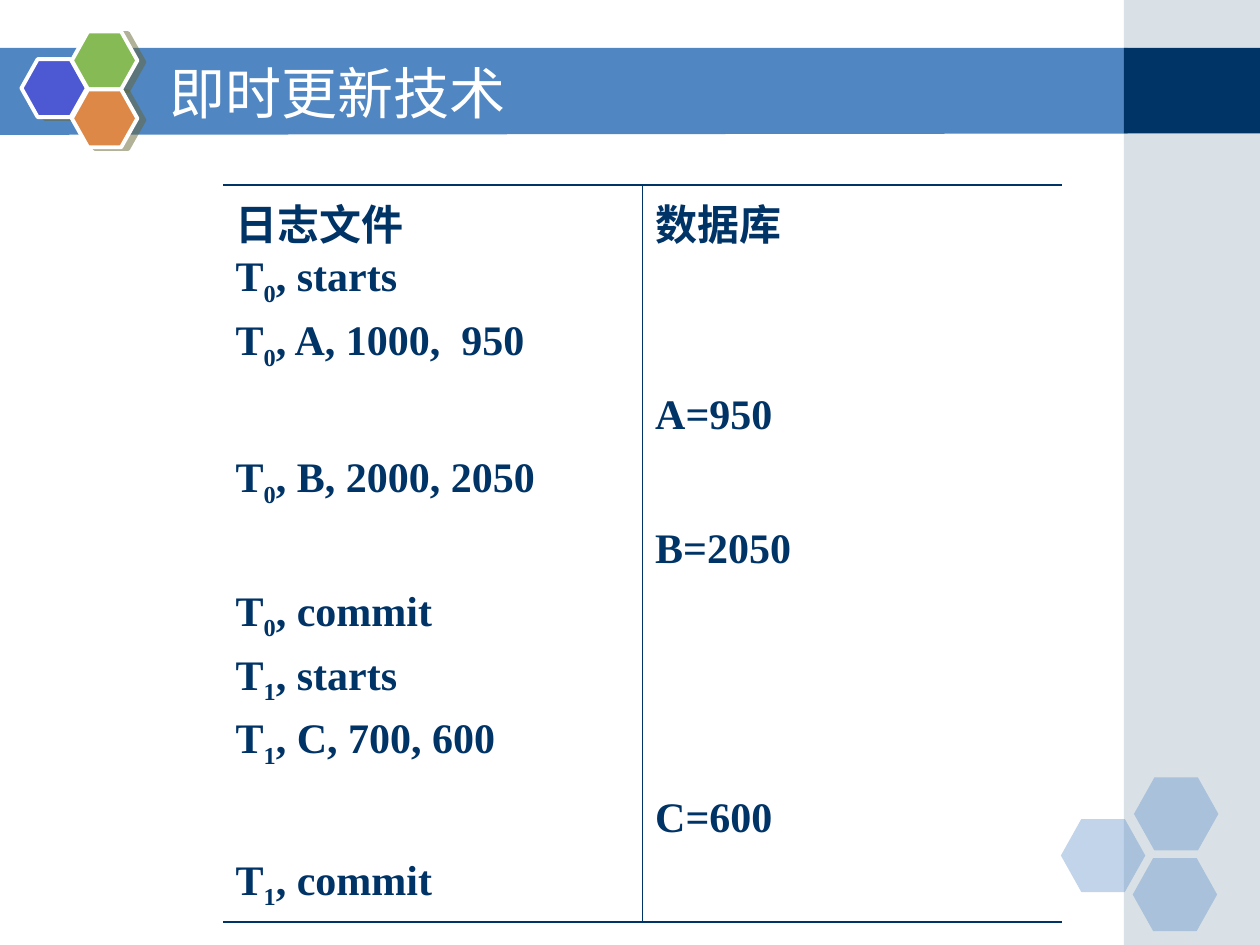
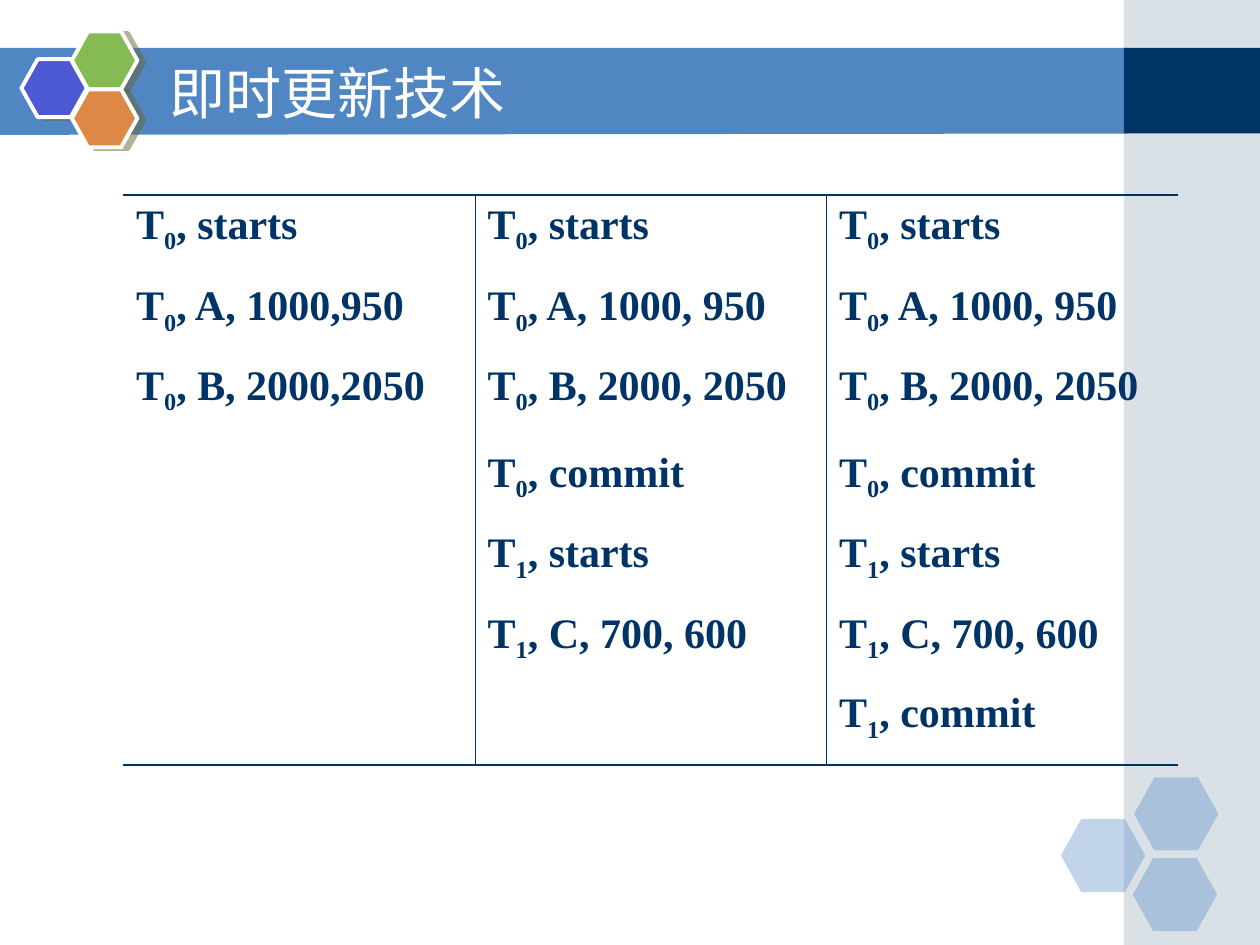
from lxml.etree import SubElement
from pptx import Presentation
from pptx.dml.color import RGBColor
from pptx.enum.shapes import MSO_SHAPE
from pptx.enum.text import MSO_ANCHOR
from pptx.oxml.ns import qn
from pptx.util import Inches, Pt

C = {"band": "5086C2", "side": "A0B5C4", "navy": "003366", "white": "FFFFFF",
     "blue": "4C59D2", "green": "85BA54", "orange": "DE8848", "shadow": "666633"}
TITLE = {"size": Pt(32), "name": "DejaVu Sans"}
BODY = {"size": Pt(24), "name": "Times New Roman", "bold": True}
NO_STYLE = "{2D5ABB26-0587-4C30-8999-92F81FD0307C}"

prs = Presentation()
prs.slide_width, prs.slide_height = Inches(10), Inches(7.5)
COL, ROW = prs.slide_width // 100, prs.slide_height // 75

RECT, HEX = MSO_SHAPE.RECTANGLE, MSO_SHAPE.HEXAGON
DECOR = [
    (RECT, 89.2, 0, 10.8, 75, "side", 40),
    (RECT, 89.2, 3.8, 10.8, 6.8, "navy", 100),
    (HEX, 84.2, 65, 6.7, 5.8, "band", 35),
    (HEX, 90, 61.7, 6.7, 5.8, "band", 35),
    (HEX, 89.9, 68.1, 6.7, 5.8, "band", 35),
    (HEX, 1.7, 4.7, 5.2, 4.6, "blue", 100),
    (HEX, 5.7, 2.5, 5.2, 4.6, "green", 100),
    (HEX, 5.7, 7.1, 5.2, 4.6, "orange", 100),
]
LOGO = ("blue", "green", "orange")

start = ["T0, starts"]
write_a, write_b = ["T0, A, 1000, 950"], ["T0, B, 2000, 2050"]
commit_0, commit_1 = ["T0, commit"], ["T1, commit"]
start_1, write_c = ["T1, starts"], ["T1, C, 700, 600"]

SLIDES = [
    {"at": (17.7, 14.7), "col": 33.3,
     "rows": [5, 10.9, 5, 5.6, 5, 16.3, 5, 5.6],
     "cells": [
         (["日志文件"], ["数据库"]),
         (start + ["T0, A, 1000,  950"], []),
         ([], ["A=950"]),
         (write_b, []),
         ([], ["B=2050"]),
         (commit_0 + start_1 + write_c, []),
         ([], ["C=600"]),
         (commit_1, [])]},
    {"at": (9.8, 15.5), "col": 27.9,
     "rows": [6.5, 6.3, 6.9, 6.4, 6.4, 6.3, 6.4],
     "cells": [
         (start, start, start),
         (["T0, A, 1000,950"], write_a, write_a),
         (["T0, B, 2000,2050"], write_b, write_b),
         ([], commit_0, commit_0),
         ([], start_1, start_1),
         ([], write_c, write_c),
         ([], [], commit_1)]},
]


def grid(*cells):
    return [int(n * unit) for n, unit in zip(cells, (COL, ROW, COL, ROW))]


def add_run(p, text, fmt, color):
    r = p.add_run()
    r.text = text
    for key, value in fmt.items():
        setattr(r.font, key, value)
    r.font.color.rgb = RGBColor.from_string(C[color])
    return r


for data in SLIDES:
    s = prs.slides.add_slide(prs.slide_layouts[6])

    corners = [grid(x, y) for x, y in ((-0.1, 3.8), (89.5, 3.8), (89.5, 10.6), (-0.1, 10.7))]
    fb = s.shapes.build_freeform(*corners[0])
    fb.add_line_segments(corners[1:], close=True)
    band = fb.convert_to_shape()
    band.shadow.inherit = False
    band.fill.solid()
    band.fill.fore_color.rgb = RGBColor.from_string(C["band"])
    band.line.fill.background()

    for kind, x, y, w, h, color, alpha in DECOR:
        sp = s.shapes.add_shape(kind, *grid(x, y, w, h))
        sp.shadow.inherit = False
        sp.fill.solid()
        sp.fill.fore_color.rgb = RGBColor.from_string(C[color])
        if alpha < 100:
            clr = sp.fill._xPr.find(qn("a:solidFill"))[0]
            SubElement(clr, qn("a:alpha"), val=str(alpha * 1000))
        if kind == HEX:
            sp.adjustments[0] = 0.28
        if color in LOGO:
            sp.line.color.rgb = RGBColor.from_string(C["white"])
            sp.line.width = Pt(2.25)
            effects = sp._element.spPr.find(qn("a:effectLst"))
            shadow = SubElement(effects, qn("a:outerShdw"), dist=str(Pt(4.1)),
                                dir=str(14 * 60000), algn="ctr", rotWithShape="0")
            clr = SubElement(shadow, qn("a:srgbClr"), val=C["shadow"])
            SubElement(clr, qn("a:alpha"), val="50000")
        else:
            sp.line.fill.background()

    tf = s.shapes.add_textbox(*grid(12.5, 4.2, 73.3, 6.2)).text_frame
    tf.word_wrap = True
    tf.vertical_anchor = MSO_ANCHOR.MIDDLE
    add_run(tf.paragraphs[0], "即时更新技术", TITLE, "white")

    n_rows, n_cols = len(data["cells"]), len(data["cells"][0])
    size = (data["col"] * n_cols, sum(data["rows"]))
    frame = s.shapes.add_table(n_rows, n_cols, *grid(*data["at"], *size))
    table = frame.table
    table.first_row = table.horz_banding = False
    table._tbl.tblPr.find(qn("a:tableStyleId")).text = NO_STYLE
    for column in table.columns:
        column.width = int(data["col"] * COL)
    for row, height in zip(table.rows, data["rows"]):
        row.height = int(height * ROW)

    for i, row in enumerate(data["cells"]):
        for j, lines in enumerate(row):
            cell = table.cell(i, j)
            borders = {"L": 0.45 * (j > 0), "R": 0.45 * (j < n_cols - 1),
                       "T": 1.08 * (i == 0), "B": 1.08 * (i == n_rows - 1)}
            tcPr = cell._tc.get_or_add_tcPr()
            for side, width in borders.items():
                ln = SubElement(tcPr, qn("a:ln" + side), w=str(Pt(width)))
                if width:
                    fill = SubElement(ln, qn("a:solidFill"))
                    SubElement(fill, qn("a:srgbClr"), val=C["navy"])
                else:
                    SubElement(ln, qn("a:noFill"))
            cell.fill.background()
            for n, line in enumerate(lines):
                tf = cell.text_frame
                p = tf.add_paragraph() if n else tf.paragraphs[0]
                p.space_before = Pt(6)
                if line.startswith("T"):
                    add_run(p, line[0], BODY, "navy")
                    r = add_run(p, line[1], BODY, "navy")
                    r.font._element.set("baseline", "-25000")
                    add_run(p, line[2:], BODY, "navy")
                else:
                    add_run(p, line, BODY, "navy")

prs.save("out.pptx")
